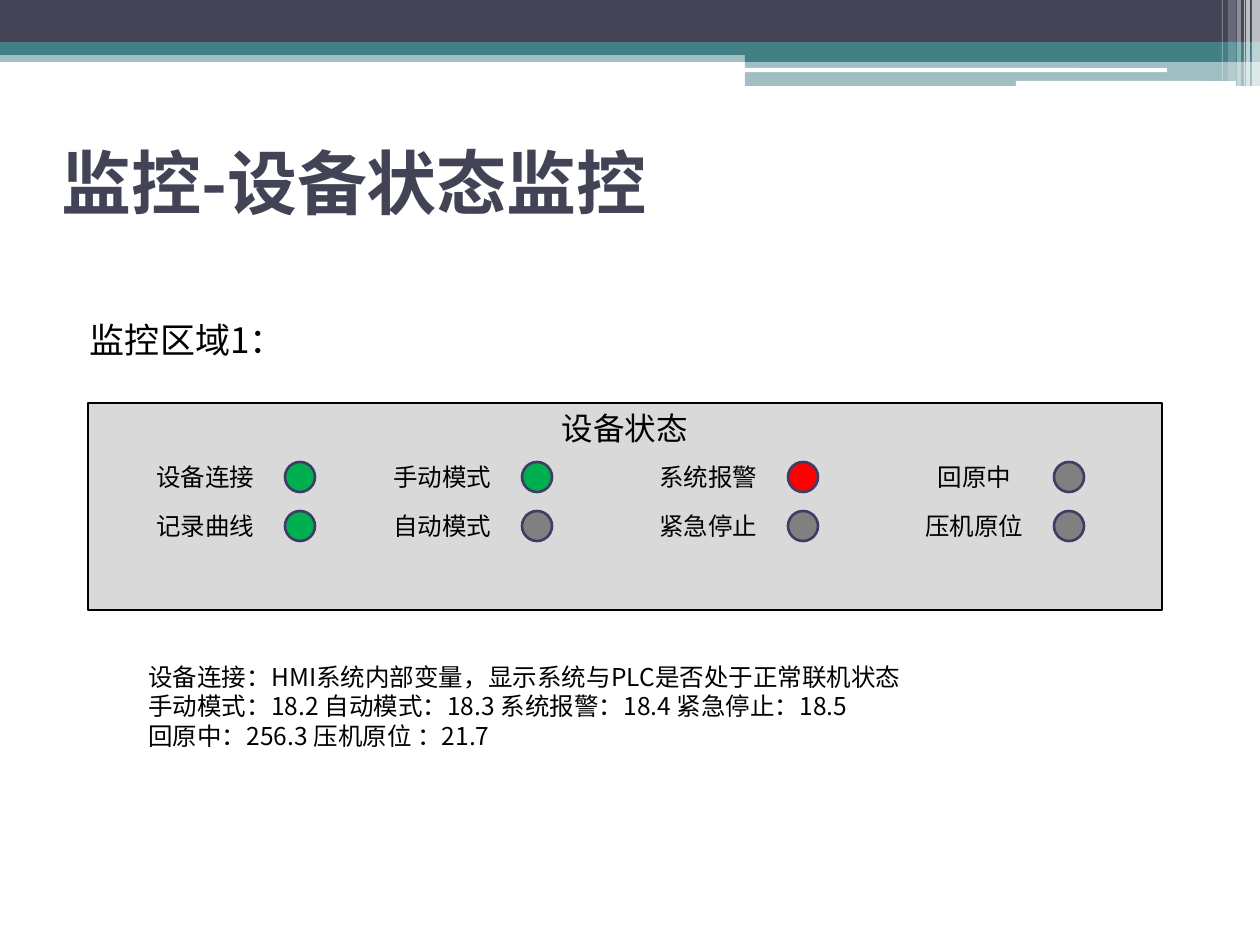
from pptx import Presentation
from pptx.dml.color import RGBColor
from pptx.enum.shapes import MSO_SHAPE as Shape
from pptx.enum.text import MSO_ANCHOR as Anchor, PP_ALIGN as Align
from pptx.oxml.ns import qn
from pptx.util import Emu, Pt
from lxml.etree import SubElement

FONT = "Noto Sans CJK SC"
SCALE = 914400 // 126
NAVY = RGBColor(0x42, 0x44, 0x56)
TEAL = RGBColor(0x43, 0x80, 0x86)
WHITE = RGBColor(0xFF, 0xFF, 0xFF)
BLACK = RGBColor(0, 0, 0)
PANEL = RGBColor(0xD9, 0xD9, 0xD9)
RIM = RGBColor(0x3D, 0x3E, 0x66)
GREEN = RGBColor(0, 0xB0, 0x50)
GRAY = RGBColor(0x80, 0x80, 0x80)
RED = RGBColor(0xFF, 0, 0)

BANDS = [
    (Shape.RECTANGLE, (0, 50, 1260, 12), TEAL, 50),
    (Shape.RECTANGLE, (0, 0, 1260, 43), NAVY, 100),
    (Shape.RECTANGLE, (0, 42, 1260, 13), TEAL, 100),
    (Shape.RECTANGLE, (745, 49, 515, 13), TEAL, 100),
    (Shape.RECTANGLE, (745, 61, 515, 25), TEAL, 50),
    (Shape.ROUNDED_RECTANGLE, (745, 68, 422, 4), WHITE, 100),
    (Shape.ROUNDED_RECTANGLE, (1016, 81, 220, 5), WHITE, 100),
]
STRIPES = [(1252, 8, 86, 65), (1246, 4, 86, 65), (1244, 1, 86, 60),
           (1237, 4, 86, 40), (1228, 8, 81, 20), (1222, 1, 81, 30)]
TITLE = "监控-设备状态监控"
AREA = "监控区域1："
PANEL_TITLE = "设备状态"
STATES = [
    (137, [("设备连接", GREEN), ("记录曲线", GREEN)]),
    (374, [("手动模式", GREEN), ("自动模式", GRAY)]),
    (640, [("系统报警", RED), ("紧急停止", GRAY)]),
    (906, [("回原中", GRAY), ("压机原位", GRAY)]),
]
NOTES = [
    "设备连接：HMI系统内部变量，显示系统与PLC是否处于正常联机状态",
    "手动模式：18.2 自动模式：18.3 系统报警：18.4 紧急停止：18.5",
    "回原中：256.3 压机原位 ：21.7",
]
ROW_TOP, ROW_STEP, LAMP_SIZE = 462, 49, 30
LABEL_WIDTH, LAMP_OFFSET = 137, 148

deck = Presentation()
deck.slide_width, deck.slide_height = Emu(1260 * SCALE), Emu(945 * SCALE)
page = deck.slides.add_slide(deck.slide_layouts[6])


def place(at):
    return [Emu(value * SCALE) for value in at]


def add_block(kind, at, color, rim=None, opacity=100):
    block = page.shapes.add_shape(kind, *place(at))
    block.shadow.inherit = False
    block.fill.solid()
    block.fill.fore_color.rgb = color
    if opacity < 100:
        tint = block.fill._xPr.find(qn("a:solidFill"))[0]
        SubElement(tint, qn("a:alpha")).set("val", str(opacity * 1000))
    if rim is None:
        block.line.fill.background()
    else:
        block.line.color.rgb = rim
        block.line.width = Pt(1.5)
    return block


def write(box, lines, size, color=BLACK, bold=False, align=Align.LEFT,
          anchor=Anchor.TOP):
    frame = box.text_frame
    frame.word_wrap = True
    frame.vertical_anchor = anchor
    frame.text = "\n".join(lines)
    for para in frame.paragraphs:
        para.alignment = align
        para.font.size = Pt(size)
        para.font.bold = bold
        para.font.color.rgb = color
        para.font.name = FONT
        for span in para.runs:
            span.font.name = FONT
            SubElement(span.font._element, qn("a:ea")).set("typeface", FONT)
    return frame


for kind, at, color, opacity in BANDS:
    add_block(kind, at, color, opacity=opacity)
for left, width, height, opacity in STRIPES:
    add_block(Shape.RECTANGLE, (left, 0, width, height), WHITE, opacity=opacity)

title = page.shapes.add_textbox(*place((49, 108, 1134, 147)))
write(title, [TITLE], 40, NAVY, bold=True, anchor=Anchor.MIDDLE)

area = page.shapes.add_textbox(*place((63, 312, 1134, 596)))
area_frame = write(area, [AREA], 20)
area_frame.margin_left = Emu(27 * SCALE)
area_frame.paragraphs[0].space_before = Pt(3)

panel = add_block(Shape.RECTANGLE, (88, 403, 1074, 207), PANEL, BLACK)
write(panel, [PANEL_TITLE], 18, align=Align.CENTER)

for left, column in STATES:
    for row, (label, lamp_color) in enumerate(column):
        top = ROW_TOP + row * ROW_STEP
        tag = add_block(Shape.RECTANGLE, (left, top, LABEL_WIDTH, LAMP_SIZE), PANEL)
        write(tag, [label], 14, align=Align.CENTER, anchor=Anchor.MIDDLE)
        add_block(Shape.OVAL, (left + LAMP_OFFSET, top, LAMP_SIZE, LAMP_SIZE),
                  lamp_color, RIM)

notes = page.shapes.add_textbox(*place((136, 655, 780, 102)))
for para in write(notes, NOTES, 14).paragraphs:
    para.line_spacing = Pt(17)

deck.save("out.pptx")
